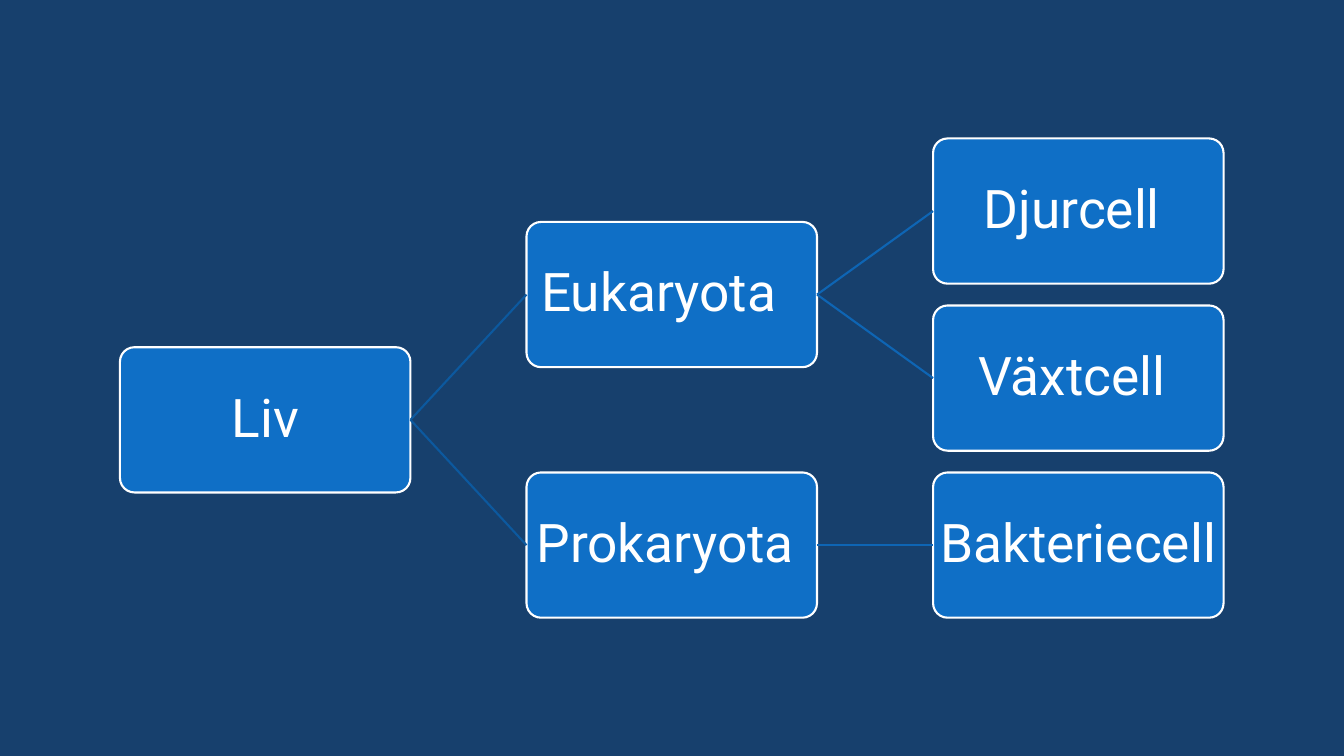
import pptx
import pptx.util
import pptx.dml.color
import pptx.enum.shapes
import pptx.enum.text
import pptx.oxml
import pptx.oxml.ns
import lxml.etree

Pt = pptx.util.Pt
RGBColor = pptx.dml.color.RGBColor

NAVY = RGBColor(0x17, 0x40, 0x6D)
BLUE = RGBColor(0x0F, 0x6F, 0xC6)
WHITE = RGBColor(0xFF, 0xFF, 0xFF)
ROOT_LINK = RGBColor(0x0C, 0x59, 0x9F)
CELL_LINK = RGBColor(0x0E, 0x65, 0xB4)

LEFT, TOP = 85.7, 98.9
BOX_W, BOX_H = 207.5, 103.75
COL_STEP, ROW_STEP = 290.4, 119.3

NODES = [
    ("Liv", 0, 1.25, 0),
    ("Eukaryota", 1, 0.5, 18.5),
    ("Prokaryota", 1, 2, 9.25),
    ("Djurcell", 2, 0, 9.25),
    ("Växtcell", 2, 1, 9.25),
    ("Bakteriecell", 2, 2, 0),
]
LINKS = [
    ("Liv", "Eukaryota", ROOT_LINK),
    ("Liv", "Prokaryota", ROOT_LINK),
    ("Eukaryota", "Djurcell", CELL_LINK),
    ("Eukaryota", "Växtcell", CELL_LINK),
    ("Prokaryota", "Bakteriecell", CELL_LINK),
]


def write_text(tf, text, font="Roboto", size=38, color=WHITE, spacing=0.9,
               align=pptx.enum.text.PP_ALIGN.CENTER):
    p = tf.paragraphs[0]
    p.alignment = align
    p.line_spacing = spacing
    r = p.add_run()
    r.text = text
    r.font.name = font
    r.font.size = Pt(size)
    r.font.color.rgb = color


class TreeSlide:
    def __init__(self, s, fill=BLUE, outline=WHITE, line_width=1.5):
        self.s = s
        self.fill = fill
        self.outline = outline
        self.line_width = line_width

    def background(self, color):
        self.s.background.fill.solid()
        self.s.background.fill.fore_color.rgb = color

    def node(self, text, col, row, right_gap):
        sp = self.s.shapes.add_shape(
            pptx.enum.shapes.MSO_SHAPE.ROUNDED_RECTANGLE,
            Pt(LEFT + col * COL_STEP), Pt(TOP + row * ROW_STEP),
            Pt(BOX_W), Pt(BOX_H))
        sp.adjustments[0] = 0.1
        sp.shadow.inherit = False
        sp.fill.solid()
        sp.fill.fore_color.rgb = self.fill
        sp.line.color.rgb = self.outline
        sp.line.width = Pt(self.line_width)
        tf = sp.text_frame
        tf.word_wrap = True
        tf.vertical_anchor = pptx.enum.text.MSO_ANCHOR.MIDDLE
        tf.margin_left = tf.margin_top = tf.margin_bottom = 0
        tf.margin_right = Pt(right_gap)
        write_text(tf, text)
        return sp

    def link(self, parent, child, color):
        c = self.s.shapes.add_connector(
            pptx.enum.shapes.MSO_CONNECTOR.STRAIGHT, 0, 0, 0, 0)
        c.begin_connect(parent, 3)
        c.end_connect(child, 1)
        c.line.color.rgb = color
        c.line.width = Pt(self.line_width)
        lxml.etree.SubElement(c._element.spPr, pptx.oxml.ns.qn("a:effectLst"))


def main():
    prs = pptx.Presentation()
    prs.slide_width = Pt(960)
    prs.slide_height = Pt(540)
    tree = TreeSlide(prs.slides.add_slide(prs.slide_layouts[6]))
    tree.background(NAVY)
    boxes = {node[0]: tree.node(*node) for node in NODES}
    for parent, child, color in LINKS:
        tree.link(boxes[parent], boxes[child], color)
    prs.save("out.pptx")


if __name__ == "__main__":
    main()
